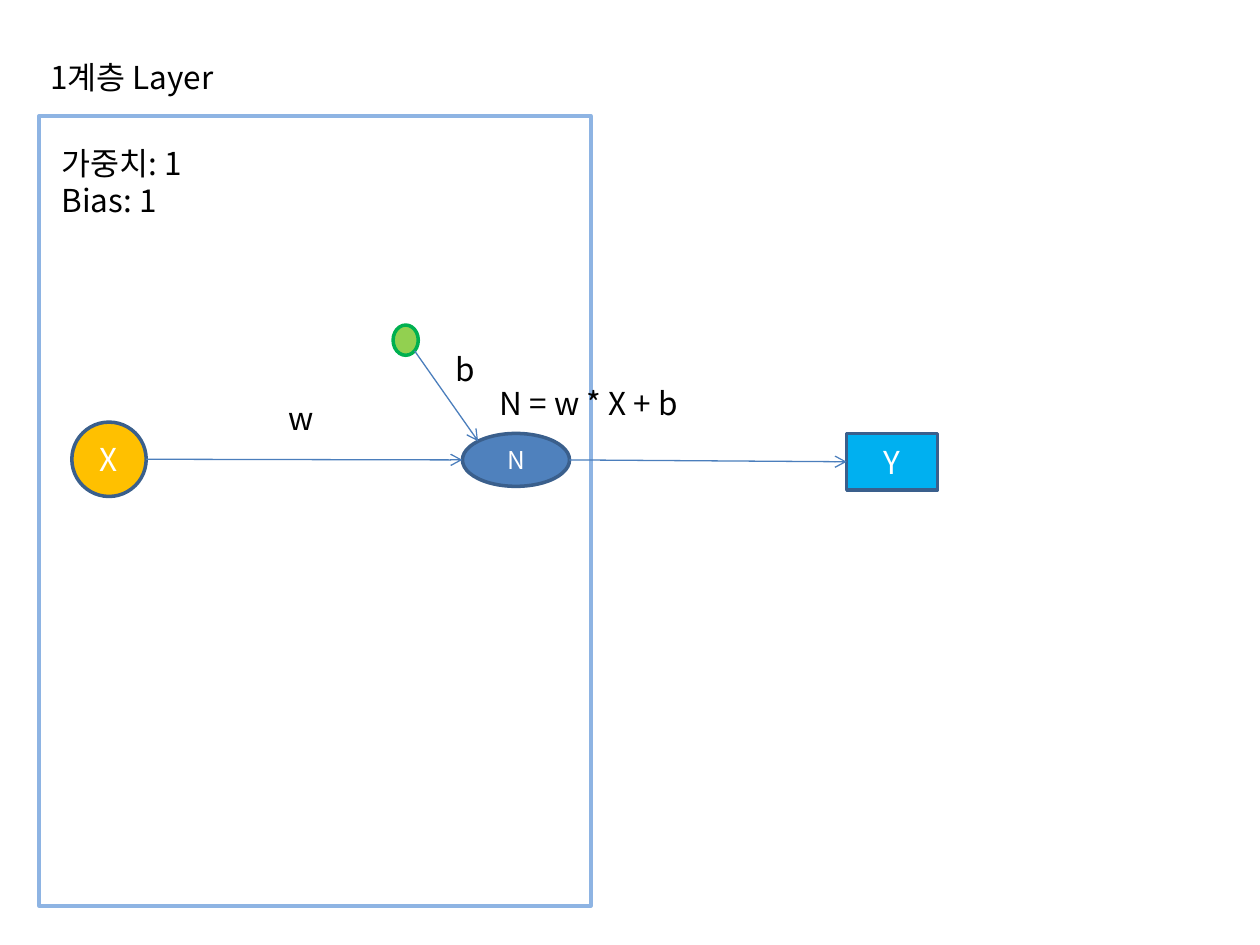
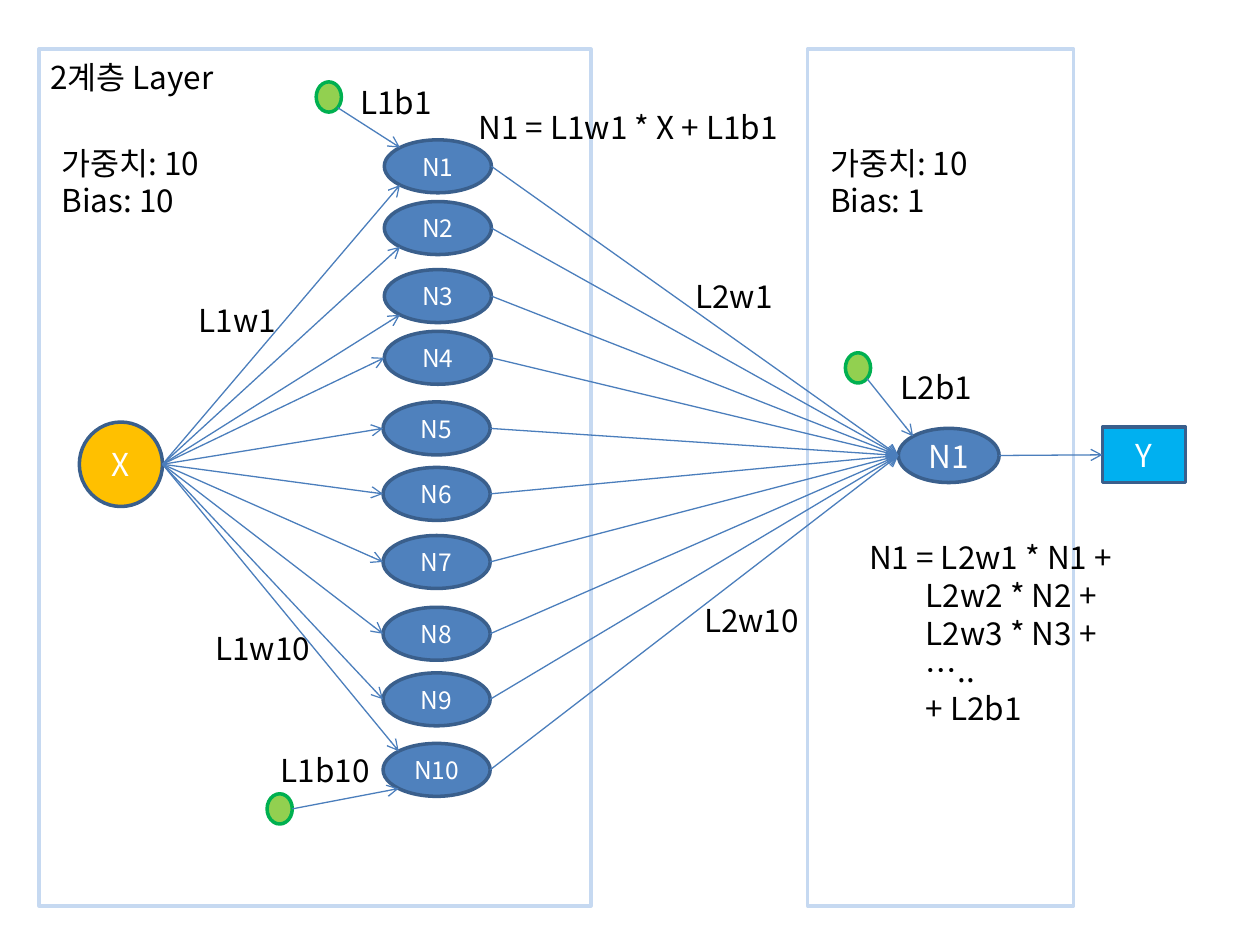
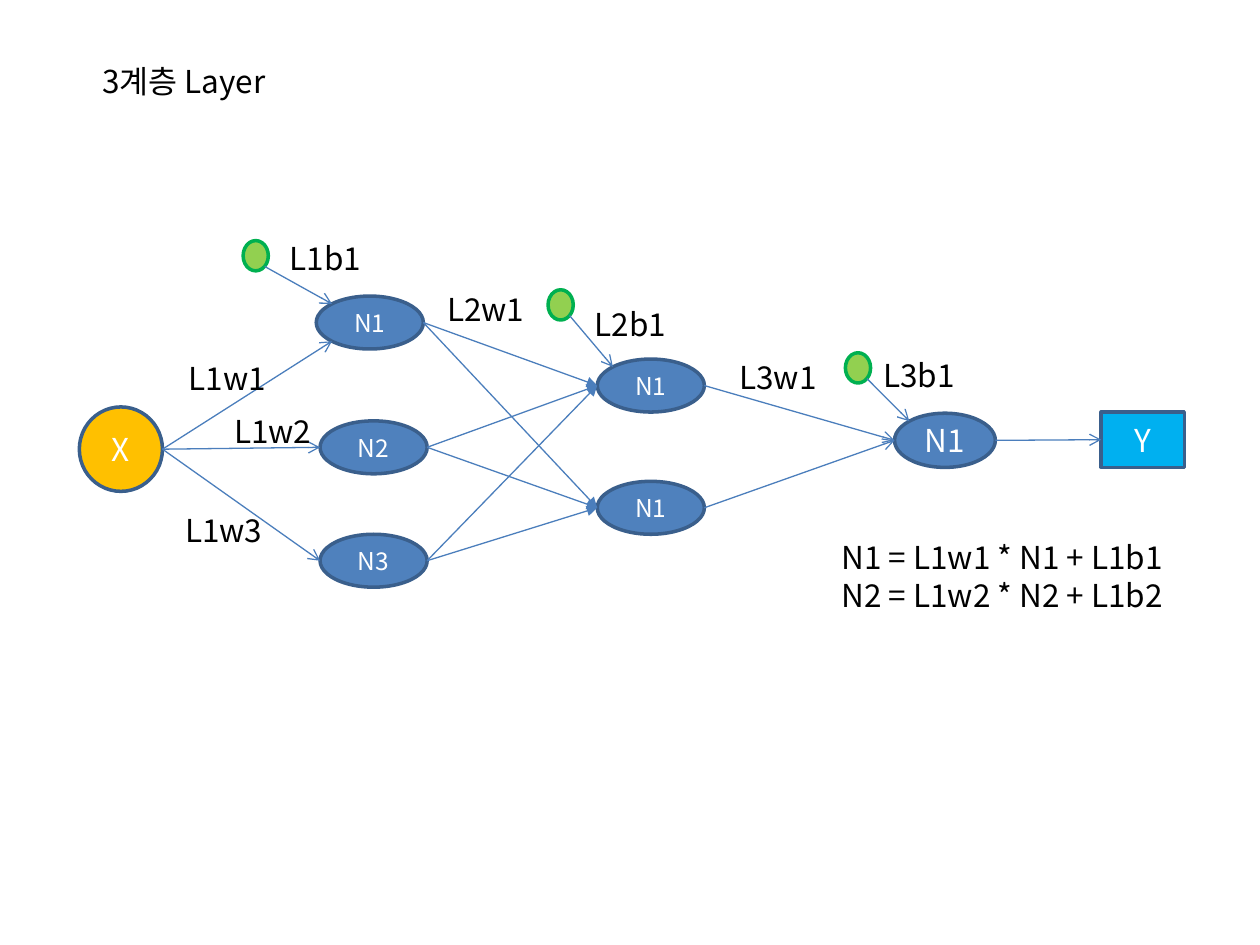
import math
import typing

import lxml.etree
import pptx
import pptx.dml.color
import pptx.enum.shapes
import pptx.enum.text
import pptx.oxml.ns
import pptx.util

COLORS = {
    "white": "FFFFFF", "black": "000000", "outline": "3A5F8C", "link": "4B7EBC",
    "input": "FFC000", "neuron": "4F81BD", "output": "00B0F0",
    "bias": "92D050", "bias line": "00B050",
    "strong frame": "8EB4E3", "pale frame": "C6D9F1",
}
FONT = "Noto Sans CJK KR"
TEXT_SIZE = 18
NEURON_SIZE = (0.85, 0.42)
OUTPUT_NEURON_SIZE = (0.8, 0.43)
LABEL_SIZE = (0.82, 0.4)
DIAGONAL = math.sqrt(0.5)
# Points on an outline, in half widths and half heights from the centre
SIDES = {
    "left": (-1, 0), "right": (1, 0),
    "upper left": (-DIAGONAL, -DIAGONAL),
    "lower left": (-DIAGONAL, DIAGONAL),
    "lower right": (DIAGONAL, DIAGONAL),
}
SHAPE = pptx.enum.shapes.MSO_SHAPE
ALIGN = pptx.enum.text.PP_ALIGN
ANCHOR = pptx.enum.text.MSO_ANCHOR
FIT = pptx.enum.text.MSO_AUTO_SIZE


class Box(typing.NamedTuple):
    left: float
    top: float
    width: float
    height: float

    def inside(self, x, y, width, height):
        return Box(self.left + x, self.top + y, width, height)

    def lengths(self):
        return [pptx.util.Inches(value) for value in self]


def color(name):
    return pptx.dml.color.RGBColor.from_string(COLORS[name])


# Basic parts
def write(para, text, color_name="black", size=TEXT_SIZE):
    span = para.add_run()
    span.text = text
    span.font.size = pptx.util.Pt(size)
    span.font.name = FONT
    span.font.color.rgb = color(color_name)
    east_asian = lxml.etree.SubElement(span.font._element, pptx.oxml.ns.qn("a:ea"))
    east_asian.set("typeface", FONT)


def add_text(page, box, lines, indent=0):
    """Write one paragraph a line; all but the first are indented."""
    frame = page.shapes.add_textbox(*box.lengths()).text_frame
    frame.word_wrap = True
    frame.auto_size = FIT.SHAPE_TO_FIT_TEXT
    for number, line in enumerate(lines):
        para = frame.add_paragraph() if number else frame.paragraphs[0]
        if number and indent:
            properties = para._p.get_or_add_pPr()
            properties.set("marL", str(pptx.util.Inches(indent)))
        write(para, line)


def add_labels(page, labels):
    for text, left, top in labels:
        width = 0.99 if len(text) > 4 else LABEL_SIZE[0]
        add_text(page, Box(left, top, width, LABEL_SIZE[1]), [text])


def add_block(page, kind, box, fill, line="outline", text="", size=TEXT_SIZE):
    block = page.shapes.add_shape(kind, *box.lengths())
    block.shadow.inherit = False
    block.fill.solid()
    block.fill.fore_color.rgb = color(fill)
    block.line.color.rgb = color(line)
    block.line.width = pptx.util.Pt(2)
    if text:
        block.text_frame.vertical_anchor = ANCHOR.MIDDLE
        para = block.text_frame.paragraphs[0]
        para.alignment = ALIGN.CENTER
        write(para, text, "white", size)
    return block


def point(block, side):
    across, down = SIDES[side]
    return (round(block.left + block.width * (1 + across) / 2),
            round(block.top + block.height * (1 + down) / 2))


def add_arrow(page, source, target, start="right", end="left", head="arrow"):
    arrow = page.shapes.add_connector(
        pptx.enum.shapes.MSO_CONNECTOR.STRAIGHT, *point(source, start), *point(target, end))
    arrow.line.color.rgb = color("link")
    arrow.line.width = pptx.util.Pt(0.75)
    properties = arrow.element.spPr
    outline = properties.find(pptx.oxml.ns.qn("a:ln"))
    lxml.etree.SubElement(outline, pptx.oxml.ns.qn("a:tailEnd")).set("type", head)
    lxml.etree.SubElement(properties, pptx.oxml.ns.qn("a:effectLst"))
    return arrow


# Regions of a network
def add_title(page, box, text):
    title = page.shapes.title
    title.left, title.top, title.width, title.height = box.lengths()
    frame = title.text_frame
    frame.word_wrap = True
    frame.auto_size = FIT.NONE
    frame.vertical_anchor = ANCHOR.TOP
    frame.paragraphs[0].alignment = ALIGN.LEFT
    write(frame.paragraphs[0], text)
    # Bring the title in front of the frames
    title.element.getparent().append(title.element)


def add_layer_frame(page, box, line, facts, facts_top):
    add_block(page, SHAPE.RECTANGLE, box, "white", line)
    add_text(page, box.inside(0.08, facts_top, 1.72, 0.71), facts)


def add_input(page, box):
    return add_block(page, SHAPE.OVAL, box, "input", text="X")


def add_neuron(page, box, name, size=14):
    return add_block(page, SHAPE.OVAL, box, "neuron", text=name, size=size)


def add_column(page, box, neurons):
    """Place neurons given as (name, x, y) within the box."""
    return [add_neuron(page, box.inside(x, y, *NEURON_SIZE), name) for name, x, y in neurons]


def add_bias(page, left, top, neuron, label, label_x, label_y,
             start="lower right", end="upper left"):
    box = Box(left, top, 0.2, 0.24)
    dot = add_block(page, SHAPE.OVAL, box, "bias", "bias line")
    add_arrow(page, dot, neuron, start, end)
    add_labels(page, [(label, left + label_x, top + label_y)])


def add_output(page, box, neuron):
    output = add_block(page, SHAPE.RECTANGLE, box, "output", text="Y")
    add_arrow(page, neuron, output).end_connect(output, 1)


# Slides
def draw_one_layer(page, area):
    frame = area.inside(0.31, 0.92, 4.38, 6.27)
    add_layer_frame(page, frame, "strong frame", ["가중치: 1", "Bias: 1"], 0.17)
    source = add_input(page, frame.inside(0.26, 2.43, 0.59, 0.59))
    neuron = add_neuron(page, frame.inside(3.36, 2.52, *NEURON_SIZE), "N")
    add_arrow(page, source, neuron)
    add_output(page, area.inside(6.72, 3.44, 0.72, 0.45), neuron)
    add_bias(page, 3.12, 2.58, neuron, "b", 0.4, 0.15)
    add_labels(page, [("w", 2.19, 3.12)])
    add_text(page, area.inside(3.87, 3, 2.86, 0.4), ["N = w * X + b"])
    add_title(page, area.inside(0.3, 0.41, 1.53, 0.4), "1계층 Layer")


def draw_two_layers(page, area):
    first = area.inside(0.31, 0.39, 4.38, 6.8)
    second = area.inside(6.41, 0.39, 2.11, 6.8)
    add_layer_frame(page, first, "pale frame", ["가중치: 10", "Bias: 10"], 0.7)
    add_layer_frame(page, second, "pale frame", ["가중치: 10", "Bias: 1"], 0.7)

    # Neurons of both layers
    source = add_input(page, first.inside(0.32, 2.96, 0.66, 0.67))
    tops = [0.72, 1.21, 1.75, 2.24, 2.8, 3.32, 3.86, 4.43, 4.95, 5.51]
    hidden = add_column(page, first, [
        (f"N{number}", 2.74 if number <= 4 else 2.73, top)
        for number, top in enumerate(tops, 1)])
    final = add_neuron(page, second.inside(0.72, 3.01, *OUTPUT_NEURON_SIZE), "N1", TEXT_SIZE)

    # The outermost arrows meet the neurons on the diagonal
    ends = ["lower left"] * 3 + ["left"] * 6 + ["upper left"]
    for neuron, end in zip(hidden, ends):
        add_arrow(page, source, neuron, end=end)
        add_arrow(page, neuron, final)
    add_output(page, area.inside(8.75, 3.39, 0.66, 0.44), final)

    add_bias(page, 2.51, 0.65, hidden[0], "L1b1", 0.25, -0.04)
    add_bias(page, 2.12, 6.3, hidden[-1], "L1b10", 0.01, -0.39, "right", "lower left")
    add_bias(page, 6.71, 2.8, final, "L2b1", 0.34, 0.07)
    add_labels(page, [("L1w1", 1.48, 2.34), ("L1w10", 1.61, 4.94),
                      ("L2w1", 5.42, 2.15), ("L2w10", 5.49, 4.72)])
    add_text(page, area.inside(3.7, 0.81, 2.86, 0.4), ["N1 = L1w1 * X + L1b1"])
    add_text(page, area.inside(6.8, 4.22, 2.86, 1.62),
             ["N1 = L2w1 * N1 +", "L2w2 * N2 +", "L2w3 * N3 +", "…..", "+ L2b1"], indent=0.45)
    add_title(page, area.inside(0.3, 0.41, 1.53, 0.4), "2계층 Layer")


def draw_three_layers(page, area):
    # Neurons from input to output
    source = add_input(page, area.inside(0.63, 3.23, 0.66, 0.67))
    first = add_column(page, area.inside(2.51, 2.35, 0.88, 2.31),
                       [("N1", 0, 0), ("N2", 0.03, 0.99), ("N3", 0.03, 1.89)])
    second = add_column(page, area.inside(4.74, 2.85, 0.85, 1.39),
                        [("N1", 0, 0), ("N1", 0, 0.97)])
    final = add_neuron(page, area.inside(7.1, 3.28, *OUTPUT_NEURON_SIZE), "N1", TEXT_SIZE)

    for neuron, end in zip(first, ["lower left", "left", "left"]):
        add_arrow(page, source, neuron, end=end)
        for target in second:
            add_arrow(page, neuron, target, head="triangle")
    for neuron in second:
        add_arrow(page, neuron, final)
    add_output(page, area.inside(8.74, 3.27, 0.66, 0.44), final)

    add_bias(page, 1.93, 1.91, first[0], "L1b1", 0.27, -0.06)
    add_bias(page, 4.35, 2.3, second[0], "L2b1", 0.27, 0.07)
    add_bias(page, 6.71, 2.8, final, "L3b1", 0.2, -0.02)
    add_labels(page, [("L1w1", 1.4, 2.8), ("L1w2", 1.76, 3.22), ("L1w3", 1.37, 4.01),
                      ("L2w1", 3.45, 2.25), ("L3w1", 5.77, 2.79)])
    add_text(page, area.inside(6.58, 4.22, 3.07, 1.01),
             ["N1 = L1w1 * N1 + L1b1", "N2 = L1w2 * N2 + L1b2"])
    add_title(page, area.inside(0.71, 0.44, 1.53, 0.4), "3계층 Layer")


def main():
    deck = pptx.Presentation()
    area = Box(0, 0, 10, 7.5)
    deck.slide_width = pptx.util.Inches(area.width)
    deck.slide_height = pptx.util.Inches(area.height)
    title_only = deck.slide_layouts[5]
    for draw in (draw_one_layer, draw_two_layers, draw_three_layers):
        draw(deck.slides.add_slide(title_only), area)
    deck.save("out.pptx")


if __name__ == "__main__":
    main()
